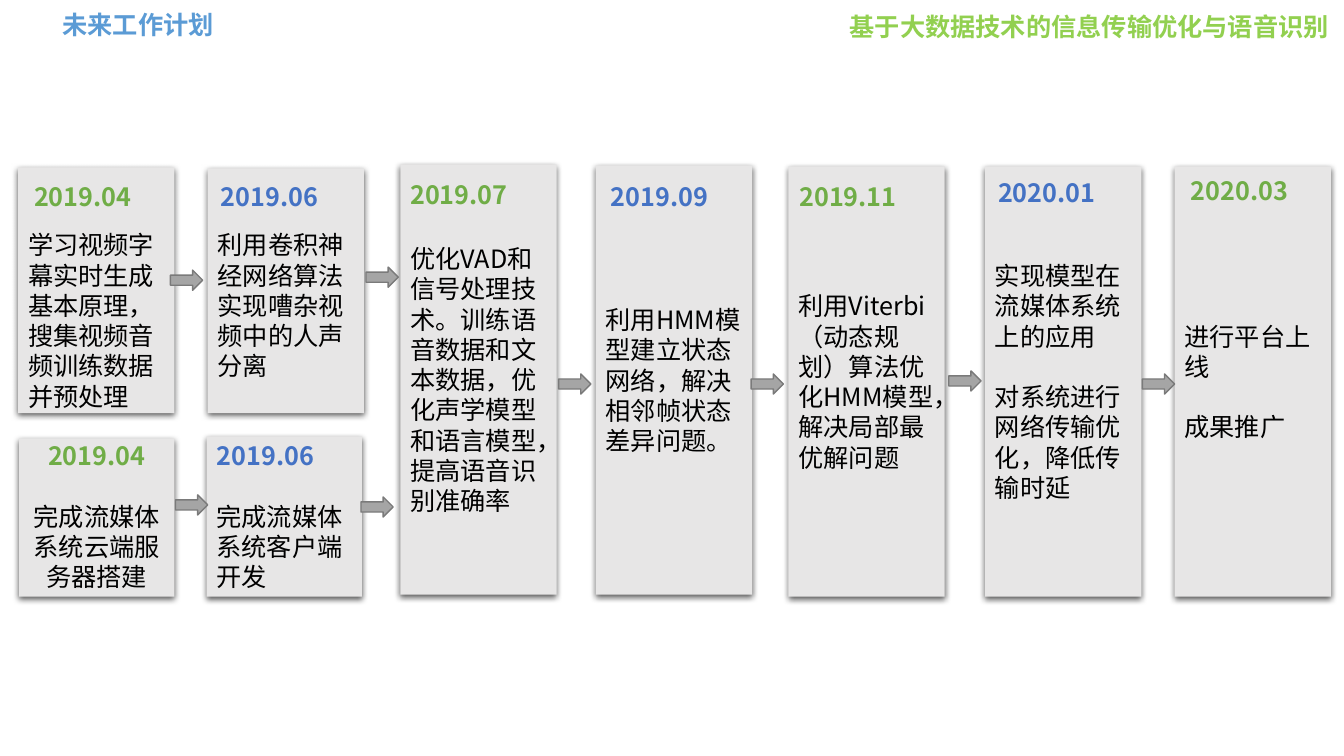
from lxml.etree import SubElement
from pptx import Presentation
from pptx.dml.color import RGBColor
from pptx.enum.shapes import MSO_SHAPE
from pptx.enum.text import MSO_ANCHOR, MSO_AUTO_SIZE, PP_ALIGN
from pptx.oxml.ns import qn
from pptx.util import Inches, Pt

FONT = "Noto Sans CJK SC"
LINE = Pt(21.6)
COLORS = {"title": "5B9BD5", "topic": "92D050", "green": "70AD47", "blue": "4472C4",
          "card": "E7E6E6", "arrow": "A5A5A5", "edge": "7A7A7A", "text": "000000"}


def write(shape, lines, **frame_format):
    """Fill a shape with paragraphs given as (text, colour, bold, alignment, gap before)."""
    frame = shape.text_frame
    settings = {"word_wrap": True, "auto_size": MSO_AUTO_SIZE.NONE,
                "vertical_anchor": MSO_ANCHOR.TOP, "margin_left": Inches(0.1),
                "margin_right": Inches(0.1), "margin_top": Inches(0.05),
                "margin_bottom": Inches(0.05)}
    for name, value in (settings | frame_format).items():
        setattr(frame, name, value)
    for index, (text, color, bold, alignment, gap) in enumerate(lines):
        para = frame.add_paragraph() if index else frame.paragraphs[0]
        para.alignment, para.space_before, para.line_spacing = alignment, gap, LINE
        span = para.add_run()
        span.text = text
        for name, value in {"name": FONT, "size": Pt(18), "bold": bold}.items():
            setattr(span.font, name, value)
        span.font.color.rgb = RGBColor.from_string(COLORS[color])
        SubElement(span.font._element, qn("a:ea"), typeface=FONT)


def add_card(left, top, width, height):
    card = page.shapes.add_shape(MSO_SHAPE.RECTANGLE, *map(Inches, (left, top, width, height)))
    card.fill.solid()
    card.fill.fore_color.rgb = RGBColor.from_string(COLORS["card"])
    card.line.fill.background()
    card.shadow.inherit = False
    effects = card._element.spPr.find(qn("a:effectLst"))
    shadow = SubElement(effects, qn("a:outerShdw"), blurRad=str(Pt(4.5)), dist=str(Pt(1.5)),
                        dir="5400000", algn="ctr", rotWithShape="0")
    tint = SubElement(shadow, qn("a:srgbClr"), val="000000")
    SubElement(tint, qn("a:alpha"), val="63000")
    return card


deck = Presentation()
deck.slide_width, deck.slide_height = Inches(13.33), Inches(7.5)
page = deck.slides.add_slide(deck.slide_layouts[5])

# Headings
title = page.shapes.title
title.left, title.top, title.width, title.height = map(Inches, (0.52, 0.04, 1.72, 0.4))
write(title, [("未来工作计划", "title", True, PP_ALIGN.LEFT, 0)], word_wrap=False)
topic = page.shapes.add_textbox(*map(Inches, (8.33, 0.06, 5, 0.4)))
write(topic, [("基于大数据技术的信息传输优化与语音识别", "topic", True, PP_ALIGN.LEFT, 0)],
      word_wrap=False)

# Dated cards: left, top, height, date, date left, date top, paragraphs, gap between them
steps = [
    (0.18, 1.66, 2.44, "2019.04", 0.24, 1.75, ["学习视频字幕实时生成基本原理，搜集视频音频训练数据并预处理"], 0),
    (2.06, 1.67, 2.43, "2019.06", 2.09, 1.75, ["利用卷积神经网络算法实现嘈杂视频中的人声分离"], 0),
    (3.97, 1.63, 4.27, "2019.07", 3.97, 1.73,
     ["优化VAD和信号处理技术。训练语音数据和文本数据，优化声学模型和语言模型，提高语音识别准确率"], 0),
    (5.91, 1.64, 4.26, "2019.09", 5.96, 1.75, ["利用HMM模型建立状态网络，解决相邻帧状态差异问题。"], 0),
    (7.82, 1.65, 4.27, "2019.11", 7.83, 1.75,
     ["利用Viterbi", "（动态规划）算法优化HMM模型，解决局部最优解问题"], 0),
    (9.77, 1.65, 4.27, "2020.01", 9.8, 1.71,
     ["实现模型在流媒体系统上的应用", "对系统进行网络传输优化，降低传输时延"], LINE),
    (11.65, 1.65, 4.27, "2020.03", 11.71, 1.69, ["进行平台上线", "成果推广"], LINE),
]
for index, (left, top, height, date, date_left, date_top, tasks, gap) in enumerate(steps):
    card = add_card(left, top, 1.55, height)
    lines = [(task, "text", False, PP_ALIGN.LEFT, gap if row else 0)
             for row, task in enumerate(tasks)]
    if height < 3:
        write(card, lines, margin_top=Inches(2.28 - top))
    else:
        write(card, lines, vertical_anchor=MSO_ANCHOR.MIDDLE)
    label = page.shapes.add_textbox(*map(Inches, (date_left, date_top, 1.21, 0.71)))
    write(label, [(date, "blue" if index % 2 else "green", True, PP_ALIGN.LEFT, 0)])

# Server and client cards
platform = [
    (0.19, 4.35, 1.57, "2019.04", "green", "完成流媒体系统云端服务器搭建", PP_ALIGN.CENTER),
    (2.05, 4.33, 1.59, "2019.06", "blue", "完成流媒体系统客户端开发", PP_ALIGN.LEFT),
]
for left, top, height, date, color, task, alignment in platform:
    write(add_card(left, top, 1.54, height),
          [(date, color, True, alignment, 0), (task, "text", False, alignment, LINE)],
          margin_top=Inches(4.37 - top))

# Arrows between the cards
for left, top in [(1.69, 2.68), (3.63, 2.65), (5.54, 3.71), (7.45, 3.71), (9.41, 3.68),
                  (11.33, 3.71), (1.74, 4.91), (3.58, 4.93)]:
    arrow = page.shapes.add_shape(MSO_SHAPE.RIGHT_ARROW, *map(Inches, (left, top, 0.32, 0.2)))
    arrow.fill.solid()
    arrow.fill.fore_color.rgb = RGBColor.from_string(COLORS["arrow"])
    arrow.line.color.rgb = RGBColor.from_string(COLORS["edge"])
    arrow.line.width = Pt(1)
    arrow.shadow.inherit = False

deck.save("out.pptx")
